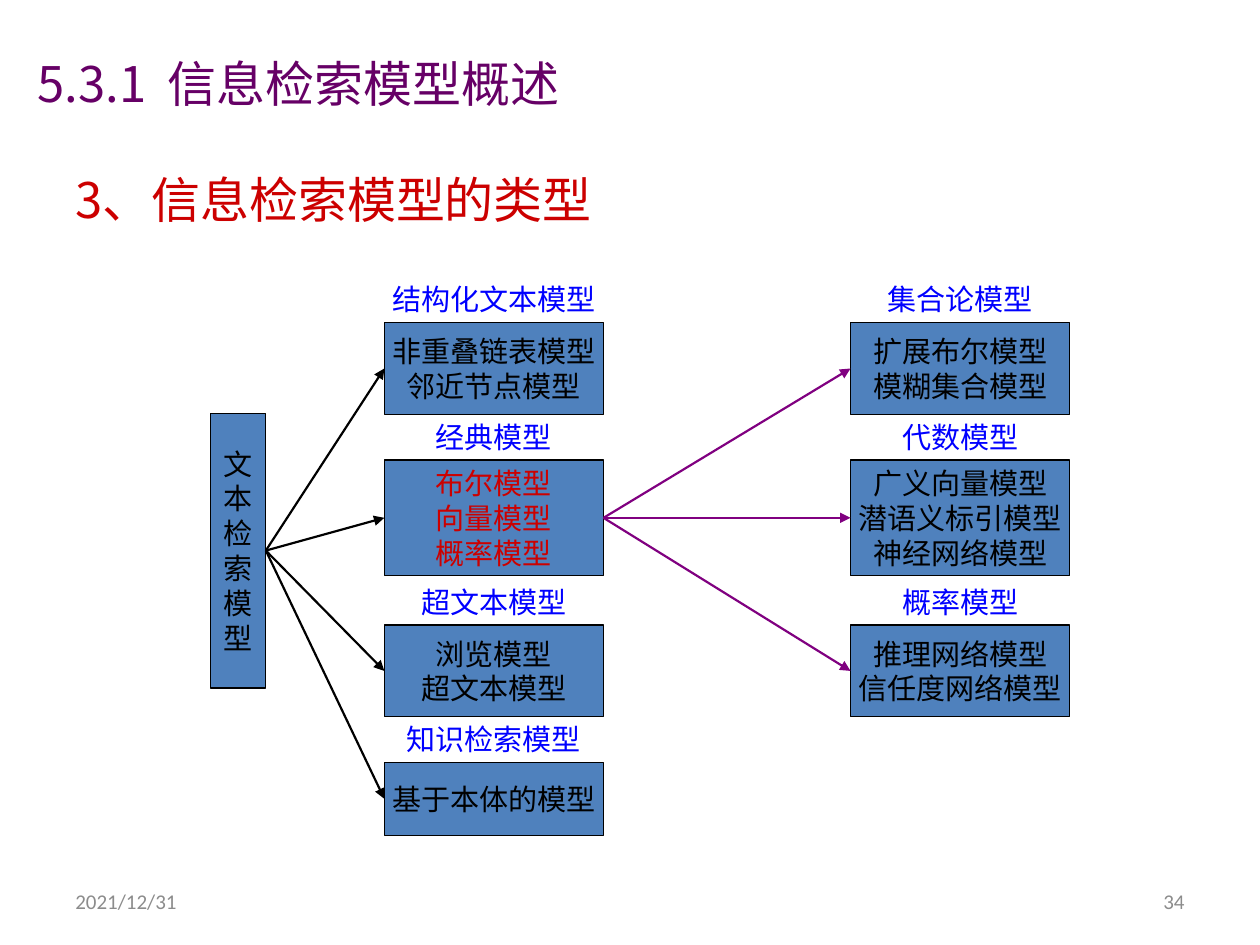
"""Build the slide on the types of information retrieval models."""
from dataclasses import dataclass

import pptx
import pptx.dml.color
import pptx.enum.shapes
import pptx.enum.text
import pptx.oxml.ns
import pptx.util
from lxml import etree
from pptx.util import Inches

COLORS = {"title": "660066", "red": "CC0000", "label": "0000FF", "black": "000000",
          "box": "4F81BD", "purple": "800080", "footer": "8C8C8C"}
HEADING_FONT = "Noto Sans CJK SC"
BODY_FONT = "Calibri"
BOX_WIDTH = 1.74
LABEL_RISE, LABEL_HEIGHT = 0.44, 0.51
LEFT, RIGHT = pptx.enum.text.PP_ALIGN.LEFT, pptx.enum.text.PP_ALIGN.RIGHT
CENTER = pptx.enum.text.PP_ALIGN.CENTER
MIDDLE, TOP = pptx.enum.text.MSO_ANCHOR.MIDDLE, pptx.enum.text.MSO_ANCHOR.TOP
LEFT_SIDE, RIGHT_SIDE = 1, 3


@dataclass
class Model:
    label: str
    lines: list[str]
    top: float
    height: float
    color: str = "black"


MODEL_TYPES = [
    Model("结构化文本模型", ["非重叠链表模型", "邻近节点模型"], 2.56, 0.73),
    Model("经典模型", ["布尔模型", "向量模型", "概率模型"], 3.65, 0.92, "red"),
    Model("超文本模型", ["浏览模型", "超文本模型"], 4.96, 0.73),
    Model("知识检索模型", ["基于本体的模型"], 6.05, 0.58),
]
CLASSIC_EXTENSIONS = [
    Model("集合论模型", ["扩展布尔模型", "模糊集合模型"], 2.56, 0.73),
    Model("代数模型", ["广义向量模型", "潜语义标引模型", "神经网络模型"], 3.65, 0.92),
    Model("概率模型", ["推理网络模型", "信任度网络模型"], 4.96, 0.73),
]


def rgb(color: str) -> pptx.dml.color.RGBColor:
    return pptx.dml.color.RGBColor.from_string(COLORS[color])


def add_run(p, text: str, size: float, color: str, font: str):
    r = p.add_run()
    r.text = text
    r.font.size = pptx.util.Pt(size)
    r.font.name = font
    r.font.color.rgb = rgb(color)
    ea = etree.SubElement(r.font._element, pptx.oxml.ns.qn("a:ea"))
    ea.set("typeface", font)
    return r


def write_lines(tf, lines: list[str], color: str, size: float = 16.6,
                font: str = BODY_FONT, align=CENTER, anchor=MIDDLE) -> None:
    tf.vertical_anchor = anchor
    tf.word_wrap = align != CENTER
    if align == CENTER:
        tf.margin_left = tf.margin_right = 0
    for i, line in enumerate(lines):
        p = tf.paragraphs[0] if i == 0 else tf.add_paragraph()
        p.alignment = align
        add_run(p, line, size, color, font)


def add_text(slide, text: str, left: float, top: float, width: float, height: float,
             color: str, **style) -> None:
    sp = slide.shapes.add_textbox(Inches(left), Inches(top), Inches(width), Inches(height))
    write_lines(sp.text_frame, [text], color, **style)


def add_box(slide, lines: list[str], left: float, top: float, width: float,
            height: float, color: str = "black"):
    sp = slide.shapes.add_shape(pptx.enum.shapes.MSO_SHAPE.RECTANGLE, Inches(left),
                                Inches(top), Inches(width), Inches(height))
    sp.shadow.inherit = False
    sp.fill.solid()
    sp.fill.fore_color.rgb = rgb("box")
    sp.line.color.rgb = rgb("black")
    sp.line.width = pptx.util.Pt(0.75)
    write_lines(sp.text_frame, lines, color)
    return sp


def add_models(slide, models: list[Model], left: float) -> list:
    boxes = []
    for m in models:
        add_text(slide, m.label, left, m.top - LABEL_RISE, BOX_WIDTH, LABEL_HEIGHT, "label")
        boxes.append(add_box(slide, m.lines, left, m.top, BOX_WIDTH, m.height, m.color))
    return boxes


def add_arrows(slide, source, targets: list, color: str) -> None:
    for target in targets:
        line = slide.shapes.add_connector(pptx.enum.shapes.MSO_CONNECTOR.STRAIGHT, 0, 0, 0, 0)
        line.begin_connect(source, RIGHT_SIDE)
        line.end_connect(target, LEFT_SIDE)
        line.line.color.rgb = rgb(color)
        line.line.width = pptx.util.Pt(1.25)
        ln = line.line._get_or_add_ln()
        etree.SubElement(ln, pptx.oxml.ns.qn("a:tailEnd")).set("type", "triangle")
        etree.SubElement(line._element.spPr, pptx.oxml.ns.qn("a:effectLst"))


def add_title(slide) -> None:
    title = slide.shapes.title
    title.left, title.top = Inches(0.2), Inches(0.03)
    title.width, title.height = Inches(9), Inches(1.25)
    tf = title.text_frame
    tf.vertical_anchor = MIDDLE
    p = tf.paragraphs[0]
    p.alignment = LEFT
    add_run(p, "5.3.1", 28, "title", HEADING_FONT)
    gap = add_run(p, " ", 28, "title", HEADING_FONT)
    gap.font._element.set("spc", "600")
    add_run(p, "信息检索模型概述", 28, "title", HEADING_FONT)


def main() -> None:
    prs = pptx.Presentation()
    prs.slide_width, prs.slide_height = Inches(10), Inches(7.5)
    slide = prs.slides.add_slide(prs.slide_layouts[5])
    add_title(slide)
    add_text(slide, "3、信息检索模型的类型", 0.5, 1.3, 4.94, 0.57, "red",
             size=28, font=HEADING_FONT, align=LEFT, anchor=TOP)
    root = add_box(slide, list("文本检索模型"), 1.67, 3.28, 0.44, 2.18)
    types = add_models(slide, MODEL_TYPES, 3.05)
    extensions = add_models(slide, CLASSIC_EXTENSIONS, 6.75)
    add_arrows(slide, root, types, "black")
    add_arrows(slide, types[1], extensions, "purple")
    add_text(slide, "2021/12/31", 0.5, 6.95, 2.33, 0.4, "footer", size=12, align=LEFT)
    add_text(slide, "34", 7.17, 6.95, 2.33, 0.4, "footer", size=12, align=RIGHT)
    prs.save("out.pptx")


if __name__ == "__main__":
    main()
